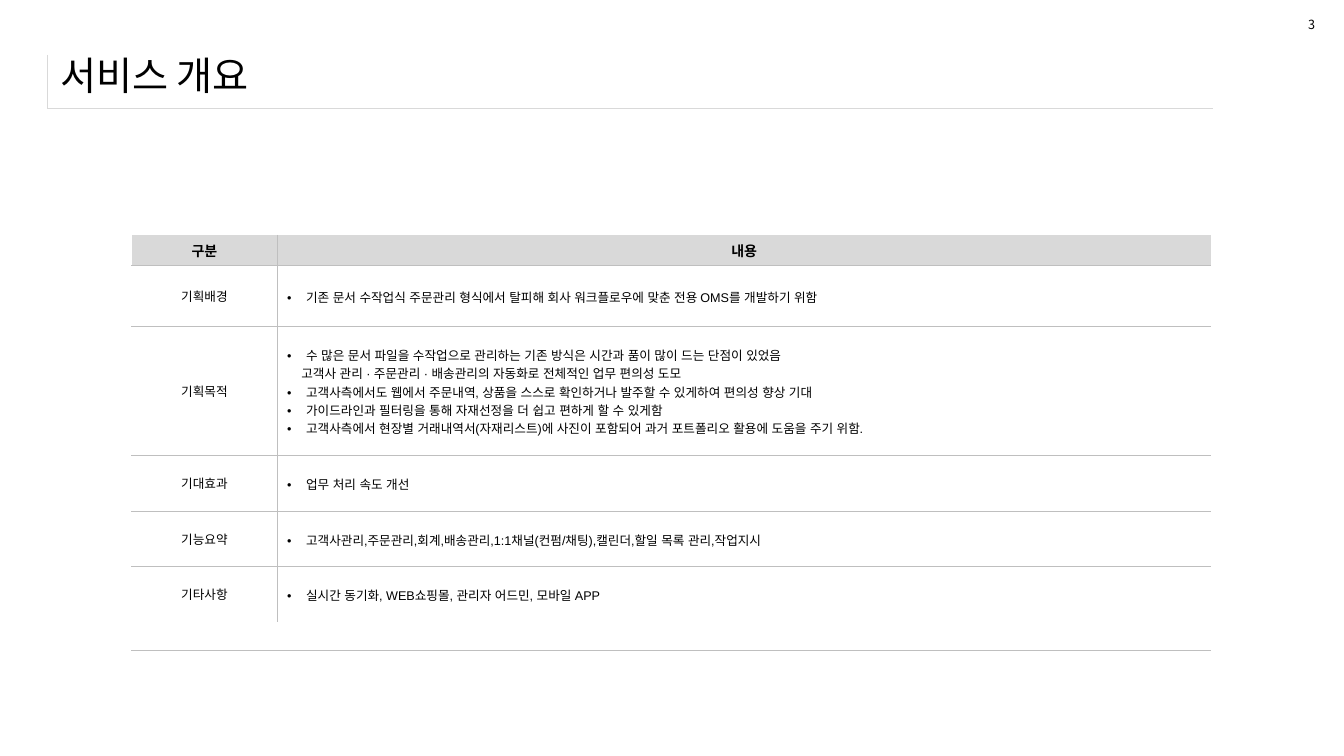
from lxml.etree import SubElement
from pptx import Presentation
from pptx.dml.color import RGBColor
from pptx.enum.text import MSO_ANCHOR, MSO_AUTO_SIZE, PP_ALIGN
from pptx.oxml.ns import qn
from pptx.util import Cm, Pt

BLACK = RGBColor(0x00, 0x00, 0x00)
WHITE = RGBColor(0xFF, 0xFF, 0xFF)
LIGHT_GRAY = RGBColor(0xD9, 0xD9, 0xD9)
RULE_GRAY = RGBColor(0xBF, 0xBF, 0xBF)
KOREAN_FONT = "Noto Sans CJK KR"
BODY_FONT = "Arial"
HAIRLINE = Pt(0.25)
BULLET_INDENT = Cm(0.48)
PLAIN_INDENT = Cm(0.36)

HEADERS = ("구분", "내용")
COLUMN_WIDTHS = (3.66, 23.55)
HEADER_HEIGHT, FOOTER_HEIGHT = 0.76, 0.71
# Label, height in cm, lines as (text, has a bullet)
SECTIONS = [
    ("기획배경", 1.54, [
        ("기존 문서 수작업식 주문관리 형식에서 탈피해 회사 워크플로우에 맞춘 전용 OMS를 개발하기 위함", True)]),
    ("기획목적", 3.25, [
        ("수 많은 문서 파일을 수작업으로 관리하는 기존 방식은 시간과 품이 많이 드는 단점이 있었음", True),
        ("고객사 관리 · 주문관리 · 배송관리의 자동화로 전체적인 업무 편의성 도모", False),
        ("고객사측에서도 웹에서 주문내역, 상품을 스스로 확인하거나 발주할 수 있게하여 편의성 향상 기대", True),
        ("가이드라인과 필터링을 통해 자재선정을 더 쉽고 편하게 할 수 있게함", True),
        ("고객사측에서 현장별 거래내역서(자재리스트)에 사진이 포함되어 과거 포트폴리오 활용에 도움을 주기 위함.", True)]),
    ("기대효과", 1.4, [("업무 처리 속도 개선", True)]),
    ("기능요약", 1.4, [
        ("고객사관리,주문관리,회계,배송관리,1:1채널(컨펌/채팅),캘린더,할일 목록 관리,작업지시", True)]),
    ("기타사항", 1.4, [("실시간 동기화, WEB쇼핑몰, 관리자 어드민, 모바일 APP", True)]),
]


def format_paragraph(paragraph, size, font=KOREAN_FONT, bold=False,
                     alignment=PP_ALIGN.LEFT, line_spacing=None):
    paragraph.alignment = alignment
    if line_spacing:
        paragraph.line_spacing = line_spacing
    for run in paragraph.runs:
        run.font.size = Pt(size)
        run.font.bold = bold
        run.font.name = font
        run.font.color.rgb = BLACK
        SubElement(run.font._element, qn("a:ea"), typeface=font)


def indent_paragraph(paragraph, has_bullet):
    properties = paragraph._p.get_or_add_pPr()
    if has_bullet:
        properties.set("marL", str(int(BULLET_INDENT)))
        properties.set("indent", str(-int(BULLET_INDENT)))
        SubElement(properties, qn("a:buFont"), typeface=BODY_FONT)
        SubElement(properties, qn("a:buChar"), char="•")
    else:
        properties.set("marL", str(int(PLAIN_INDENT)))


def set_borders(cell, left=None, right=None, top=None, bottom=None):
    """Each side is a (colour, width) pair, or None for no line."""
    properties = cell._tc.get_or_add_tcPr()
    for tag, border in (("a:lnL", left), ("a:lnR", right), ("a:lnT", top), ("a:lnB", bottom)):
        line = SubElement(properties, qn(tag))
        if border is None:
            SubElement(line, qn("a:noFill"))
            continue
        colour, width = border
        line.set("w", str(int(width)))
        fill = SubElement(line, qn("a:solidFill"))
        SubElement(fill, qn("a:srgbClr"), val=str(colour))


def shrink_empty_cell(cell):
    """Keeps the empty line from making its row taller."""
    SubElement(cell.text_frame.paragraphs[0]._p, qn("a:endParaRPr"), sz="900")


def add_plain_table(slide, left, top, widths, heights):
    table = slide.shapes.add_table(
        len(heights), len(widths), Cm(left), Cm(top),
        Cm(sum(widths)), Cm(sum(heights))).table
    table.first_row = table.horz_banding = False
    for column, width in zip(table.columns, widths):
        column.width = Cm(width)
    for row, height in zip(table.rows, heights):
        row.height = Cm(height)
    return table


def add_title(slide, text, left, top, width, height):
    """Title framed by a one-cell table with a left and a bottom line."""
    frame_cell = add_plain_table(slide, left, top, [width], [height]).cell(0, 0)
    line = (LIGHT_GRAY, HAIRLINE)
    set_borders(frame_cell, left=line, bottom=line)
    frame_cell.fill.background()
    shrink_empty_cell(frame_cell)

    title = slide.shapes.title
    title.left, title.top = Cm(left + 0.06), Cm(top - 0.34)
    title.width, title.height = Cm(width + 2.36), Cm(height + 0.35)
    frame = title.text_frame
    frame.text = text
    frame.auto_size = MSO_AUTO_SIZE.NONE
    frame.vertical_anchor = MSO_ANCHOR.MIDDLE
    format_paragraph(frame.paragraphs[0], 28)


def add_page_number(slide, number, left, top, width, height):
    box = slide.shapes.add_textbox(Cm(left), Cm(top), Cm(width), Cm(height))
    box.text_frame.text = str(number)
    box.text_frame.word_wrap = False
    format_paragraph(box.text_frame.paragraphs[0], 9)


def style_cells(table):
    gray, white = (RULE_GRAY, HAIRLINE), (WHITE, Pt(1))
    last_row = len(table.rows) - 1
    for row_index, row in enumerate(table.rows):
        for column_index, cell in enumerate(row.cells):
            divider = gray if row_index < last_row else None
            set_borders(
                cell,
                left=divider if column_index else white,
                right=None if column_index else divider,
                top=gray if 0 < row_index < last_row else None,
                bottom=gray if row_index != last_row - 1 else None)
            cell.vertical_anchor = MSO_ANCHOR.MIDDLE
            if row_index == 0:
                cell.fill.solid()
                cell.fill.fore_color.rgb = LIGHT_GRAY
            else:
                cell.fill.background()


def add_overview_table(slide, left, top):
    heights = [HEADER_HEIGHT, *(height for _, height, _ in SECTIONS), FOOTER_HEIGHT]
    table = add_plain_table(slide, left, top, COLUMN_WIDTHS, heights)
    style_cells(table)

    for cell, header in zip(table.rows[0].cells, HEADERS):
        cell.text_frame.text = header
        format_paragraph(cell.text_frame.paragraphs[0], 10, bold=True, alignment=PP_ALIGN.CENTER)
    for row_index, (label, _, lines) in enumerate(SECTIONS, start=1):
        label_frame = table.cell(row_index, 0).text_frame
        label_frame.text = label
        format_paragraph(label_frame.paragraphs[0], 9, BODY_FONT,
                         alignment=PP_ALIGN.CENTER, line_spacing=1.2)
        content_frame = table.cell(row_index, 1).text_frame
        content_frame.text = "\n".join(text for text, _ in lines)
        for paragraph, (_, has_bullet) in zip(content_frame.paragraphs, lines):
            format_paragraph(paragraph, 9, BODY_FONT,
                             alignment=PP_ALIGN.JUSTIFY, line_spacing=1.3)
            indent_paragraph(paragraph, has_bullet)

    footer_cells = list(table.rows[len(heights) - 1].cells)
    for cell in footer_cells:
        shrink_empty_cell(cell)
    footer_cells[0].merge(footer_cells[-1])


def main():
    presentation = Presentation()
    presentation.slide_width, presentation.slide_height = Cm(33.87), Cm(19.05)
    slide = presentation.slides.add_slide(presentation.slide_layouts[5])
    add_title(slide, "서비스 개요", left=1.2, top=1.38, width=29.36, height=1.35)
    add_overview_table(slide, left=3.32, top=5.92)
    add_page_number(slide, 3, left=32.72, top=0.3, width=0.69, height=0.64)
    presentation.save("out.pptx")


if __name__ == "__main__":
    main()
